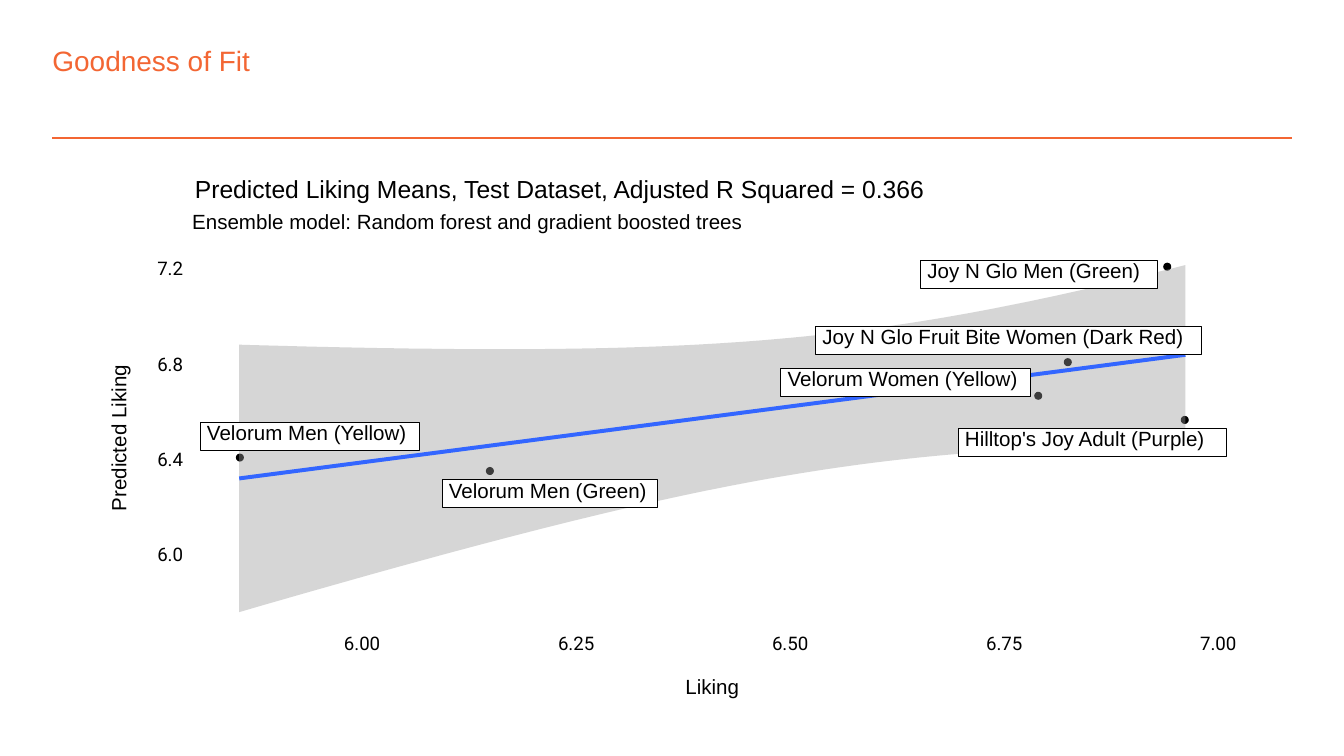
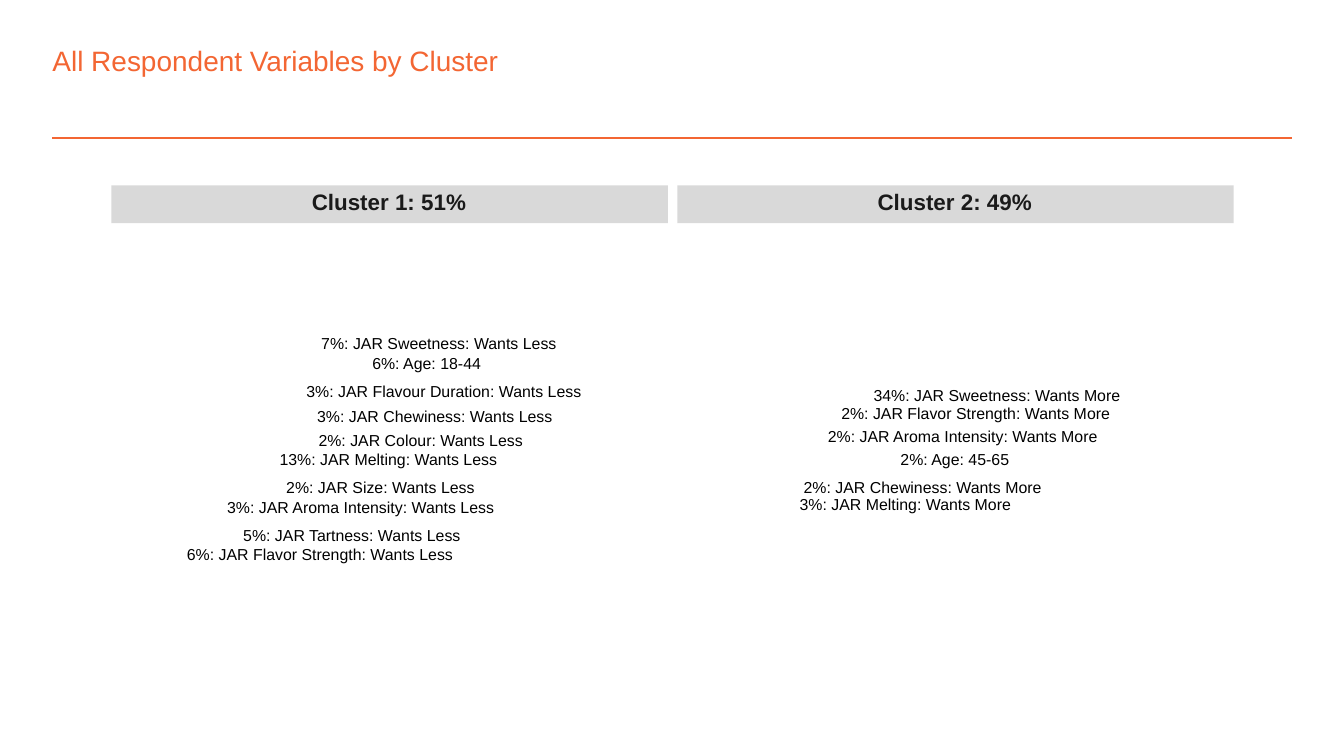
"""Build two slides: a model fit plot and the respondent variables by cluster."""
from math import sqrt

from lxml import etree
from pptx import Presentation
from pptx.dml.color import RGBColor
from pptx.enum.shapes import MSO_CONNECTOR, MSO_SHAPE
from pptx.enum.text import MSO_ANCHOR
from pptx.oxml.ns import qn
from pptx.util import Inches, Pt

STRAIGHT = MSO_CONNECTOR.STRAIGHT
RECTANGLE = MSO_SHAPE.RECTANGLE
OVAL = MSO_SHAPE.OVAL
MIDDLE = MSO_ANCHOR.MIDDLE

COLORS = {
    "accent": "F36633",
    "white": "FFFFFF",
    "black": "000000",
    "band": "999999",
    "fit": "3366FF",
    "header": "D9D9D9",
    "header_text": "1A1A1A",
}
TEXT_SLACK = 0.06


def add_text(slide, text, box, size, font="Arial", color="black", bold=False):
    """Add one line of text, centred vertically in its box."""
    left, top, width, height = box
    shape = slide.shapes.add_textbox(
        Inches(left), Inches(top), Inches(width + TEXT_SLACK), Inches(height))
    frame = shape.text_frame
    frame.margin_left = frame.margin_right = frame.margin_top = frame.margin_bottom = 0
    frame.word_wrap = False
    frame.vertical_anchor = MIDDLE
    frame.text = text
    paragraph = frame.paragraphs[0]
    paragraph.line_spacing = Pt(size)
    run_font = paragraph.runs[0].font
    run_font.name, run_font.size, run_font.bold = font, Pt(size), bold
    run_font.color.rgb = RGBColor.from_string(COLORS[color])
    return shape


def add_filled(slide, kind, box, fill, line=None, width=0.75):
    """Add a preset shape with a solid fill and an optional outline."""
    shape = slide.shapes.add_shape(kind, *map(Inches, box))
    shape.shadow.inherit = False
    shape.fill.solid()
    shape.fill.fore_color.rgb = RGBColor.from_string(COLORS[fill])
    if line:
        shape.line.color.rgb = RGBColor.from_string(COLORS[line])
        shape.line.width = Pt(width)
    else:
        shape.line.fill.background()


presentation = Presentation()
presentation.slide_width = Inches(10)
presentation.slide_height = Inches(10 * 9 / 16)

slides = []
rules = []
for title in ["Goodness of Fit", "All Respondent Variables by Cluster"]:
    slide = presentation.slides.add_slide(presentation.slide_layouts[6])
    rules.append((slide, (0.39, 1.03, 9.61, 1.03), "accent", 1))
    heading = add_text(slide, title, (0.39, 0.32, 8.29, 0.25), 15, color="accent")
    heading.text_frame.word_wrap = True
    heading.text_frame.paragraphs[0].line_spacing = 1.0
    add_filled(slide, RECTANGLE, (0.75, 1.3, 8.5, 4), "white", "white")
    slides.append(slide)
fit_slide, cluster_slide = slides

DOT = 0.05
for left, top in [(3.62, 3.48), (1.76, 3.38), (7.7, 2.92),
                  (8.79, 3.1), (7.92, 2.67), (8.66, 1.96)]:
    add_filled(fit_slide, OVAL, (left, top, DOT, DOT), "black", "black", 0.71)

FIT_LEFT, FIT_RIGHT, FIT_START, FIT_END = 1.78, 8.82, 3.56, 2.64
MEAN_X, LEAST_HALF, SLOPE = 6.43, 0.5, 0.185
STEPS = 79
upper, lower = [], []
for step in range(STEPS + 1):
    x = FIT_LEFT + (FIT_RIGHT - FIT_LEFT) * step / STEPS
    center = FIT_START + (FIT_END - FIT_START) * step / STEPS
    half = sqrt(LEAST_HALF ** 2 + (SLOPE * (x - MEAN_X)) ** 2)
    upper.append((Inches(x), Inches(center - half)))
    lower.append((Inches(x), Inches(center + half)))
builder = fit_slide.shapes.build_freeform(*upper[0])
builder.add_line_segments(upper[1:] + lower[::-1], close=True)
band = builder.convert_to_shape()
band.shadow.inherit = False
band.fill.solid()
band.fill.fore_color.rgb = RGBColor.from_string(COLORS["band"])
band.line.fill.background()
band_color = band._element.spPr.find(qn("a:solidFill"))[0]
etree.SubElement(band_color, qn("a:alpha")).set("val", "40000")

rules.append((fit_slide, (FIT_LEFT, FIT_START, FIT_RIGHT, FIT_END), "fit", 2.13))
for slide, ends, color, width in rules:
    connector = slide.shapes.add_connector(STRAIGHT, *map(Inches, ends))
    connector.line.color.rgb = RGBColor.from_string(COLORS[color])
    connector.line.width = Pt(width)
    etree.SubElement(connector._element.spPr, qn("a:effectLst"))

product_labels = [
    ("Velorum Men (Green)", 3.29, 3.57, 1.6),
    ("Velorum Men (Yellow)", 1.49, 3.14, 1.63),
    ("Velorum Women (Yellow)", 5.81, 2.74, 1.86),
    ("Hilltop's Joy Adult (Purple)", 7.13, 3.19, 2),
    ("Joy N Glo Fruit Bite Women (Dark Red)", 6.07, 2.43, 2.87),
    ("Joy N Glo Men (Green)", 6.85, 1.94, 1.76),
]
for text, left, top, width in product_labels:
    add_filled(fit_slide, RECTANGLE, (left, top, width, 0.21), "white", "black", 0.53)
    add_text(fit_slide, text, (left + 0.05, top + 0.02, width - 0.1, 0.14), 11)

for index, text in enumerate(["6.0", "6.4", "6.8", "7.2"]):
    add_text(fit_slide, text, (1.17, 4.09 - 0.71 * index, 0.19, 0.1), 10, "Roboto")
for index, text in enumerate(["6.00", "6.25", "6.50", "6.75", "7.00"]):
    add_text(fit_slide, text, (2.56 + 6.37 * index / 4, 4.75, 0.27, 0.1), 10, "Roboto")

add_text(fit_slide, "Liking", (5.1, 5.05, 0.4, 0.14), 11)
axis_title = add_text(fit_slide, "Predicted Liking", (0.32, 3.16, 1.09, 0.14), 11)
axis_title.rotation = 270
add_text(fit_slide, "Ensemble model: Random forest and gradient boosted trees",
         (1.43, 1.59, 4.08, 0.14), 11)
add_text(fit_slide, "Predicted Liking Means, Test Dataset, Adjusted R Squared = 0.366",
         (1.45, 1.34, 5.46, 0.17), 13.2)

cluster_variables = [
    ("7%: JAR Sweetness: Wants Less", 2.39, 2.52, 1.76, 0.09),
    ("6%: Age: 18-44", 2.77, 2.66, 0.82, 0.11),
    ("3%: JAR Flavour Duration: Wants Less", 2.28, 2.88, 2.06, 0.09),
    ("3%: JAR Chewiness: Wants Less", 2.36, 3.06, 1.76, 0.09),
    ("2%: JAR Colour: Wants Less", 2.37, 3.24, 1.53, 0.09),
    ("13%: JAR Melting: Wants Less", 2.08, 3.37, 1.63, 0.11),
    ("2%: JAR Size: Wants Less", 2.13, 3.59, 1.41, 0.09),
    ("3%: JAR Aroma Intensity: Wants Less", 1.69, 3.73, 2, 0.11),
    ("5%: JAR Tartness: Wants Less", 1.81, 3.95, 1.64, 0.09),
    ("6%: JAR Flavor Strength: Wants Less", 1.39, 4.08, 1.99, 0.11),
    ("34%: JAR Sweetness: Wants More", 6.5, 2.91, 1.84, 0.09),
    ("2%: JAR Flavor Strength: Wants More", 6.26, 3.03, 2.01, 0.11),
    ("2%: JAR Aroma Intensity: Wants More", 6.16, 3.2, 2.02, 0.11),
    ("2%: Age: 45-65", 6.7, 3.37, 0.82, 0.11),
    ("2%: JAR Chewiness: Wants More", 5.98, 3.59, 1.78, 0.09),
    ("3%: JAR Melting: Wants More", 5.95, 3.71, 1.58, 0.11),
]
for text, *box in cluster_variables:
    add_text(cluster_slide, text, box, 8.5)

for index, text in enumerate(["Cluster 1: 51%", "Cluster 2: 49%"]):
    left = 0.83 + 4.21 * index
    add_filled(cluster_slide, RECTANGLE, (left, 1.38, 4.14, 0.28), "header")
    add_text(cluster_slide, text, (left + 1.49, 1.45, 1.15, 0.13), 12,
             color="header_text", bold=True)

presentation.save("out.pptx")
